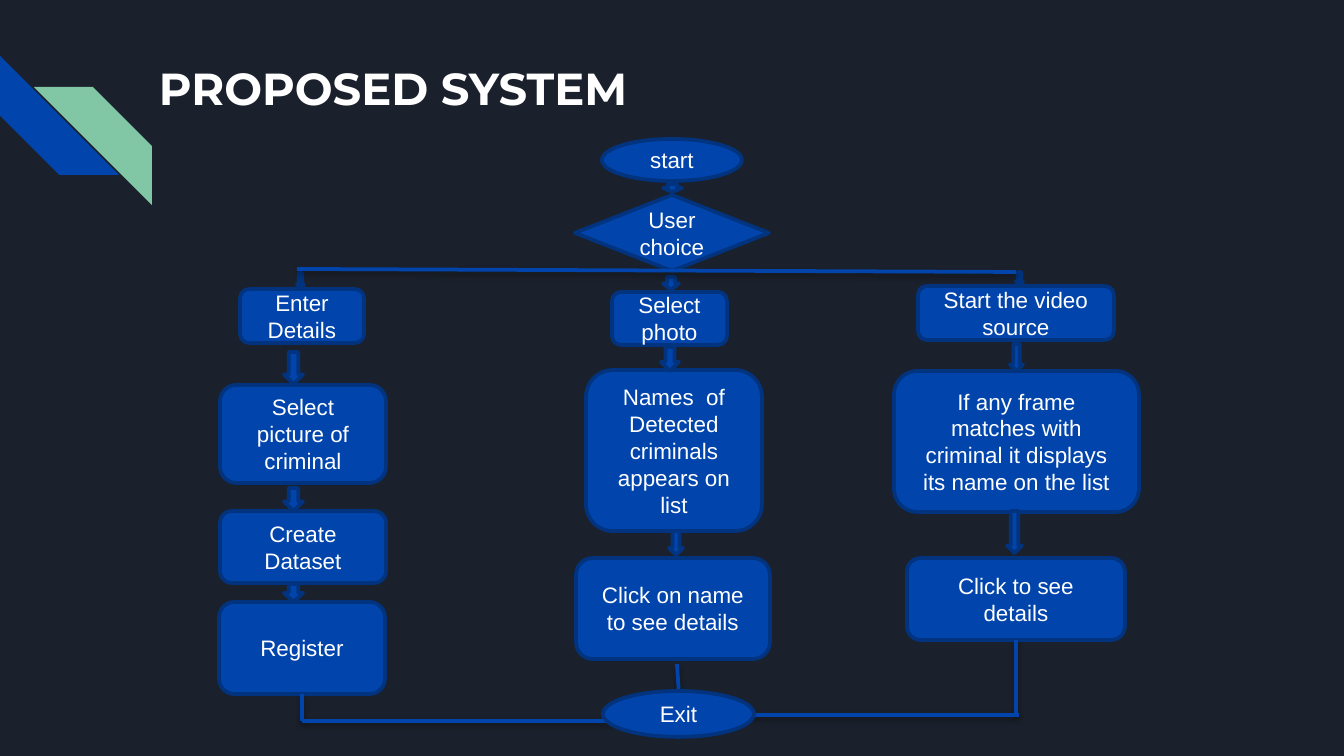
from lxml import etree
from pptx import Presentation
from pptx.dml.color import RGBColor
from pptx.enum.shapes import MSO_CONNECTOR, MSO_SHAPE
from pptx.enum.text import MSO_ANCHOR, PP_ALIGN
from pptx.oxml.ns import qn
from pptx.util import Pt

PX = 914400 / 134.4
OVAL, DIAMOND = MSO_SHAPE.OVAL, MSO_SHAPE.DIAMOND
BOX, ARROW = MSO_SHAPE.ROUNDED_RECTANGLE, MSO_SHAPE.DOWN_ARROW
STRIPE, STRAIGHT = MSO_SHAPE.DIAGONAL_STRIPE, MSO_CONNECTOR.STRAIGHT
CENTER, MIDDLE = PP_ALIGN.CENTER, MSO_ANCHOR.MIDDLE
COLORS = {"back": "1B212C", "blue": "0145AC", "edge": "01337F",
          "green": "82C7A5", "text": "FFFFFF", "shadow": "000000"}

NODES = [
    (OVAL, "start", 602, 139, 140, 42),
    (DIAMOND, "User choice", 575, 195, 194, 76),
    (BOX, "Enter Details", 240, 289, 124, 54),
    (BOX, "Select photo", 612, 292, 115, 53),
    (BOX, "Start the video\nsource", 918, 286, 196, 54),
    (BOX, "Select picture of criminal", 220, 385, 166, 98),
    (BOX, "Create Dataset", 220, 511, 166, 72),
    (BOX, "Register", 219, 602, 166, 92),
    (BOX, "Names  of Detected criminals appears on list", 586, 370, 176, 161),
    (BOX, "Click on name to see details", 576, 558, 194, 101),
    (BOX, "If any frame matches with criminal it displays its name on the list",
     894, 371, 245, 141),
    (BOX, "Click to see details", 907, 558, 218, 82),
]
EXIT = (OVAL, "Exit", 603, 691, 151, 46)
ARROWS = [
    (663, 184, 19, 8), (663, 277, 16, 13), (297, 273, 7, 15), (1016, 272, 7, 13),
    (284, 352, 19, 32), (284, 488, 19, 23), (284, 584, 19, 18),
    (661, 347, 18, 24), (669, 531, 14, 24),
    (1010, 344, 13, 27), (1007, 511, 15, 42),
]
LINES = [
    (297, 269, 1016, 272), (302, 694, 302, 721), (302, 721, 612, 721),
    (677, 664, 679, 695), (1016, 640, 1016, 715), (742, 715, 1019, 715),
]


def px(*values):
    return [round(v * PX) for v in values]


def rgb(name):
    return RGBColor.from_string(COLORS[name])


def style_text(tf, size, font, align=None, bold=False):
    tf.word_wrap = True
    for p in tf.paragraphs:
        p.alignment = align
        for r in p.runs:
            r.font.size = Pt(size)
            r.font.name = font
            r.font.bold = bold
            r.font.color.rgb = rgb("text")


def add_shape(slide, kind, box, fill, edge=None):
    s = slide.shapes.add_shape(kind, *px(*box))
    s.shadow.inherit = False
    s.fill.solid()
    s.fill.fore_color.rgb = rgb(fill)
    if edge:
        s.line.color.rgb = rgb(edge)
        s.line.width = Pt(2)
    else:
        s.line.fill.background()
    return s


def add_node(slide, kind, text, *box):
    s = add_shape(slide, kind, box, "blue", "edge")
    s.text_frame.text = text
    s.text_frame.vertical_anchor = MIDDLE
    style_text(s.text_frame, 12, "Arial", CENTER)


def add_line(slide, *ends):
    c = slide.shapes.add_connector(STRAIGHT, *px(*ends))
    c.line.color.rgb = rgb("blue")
    c.line.width = Pt(2)
    effects = etree.SubElement(c.element.spPr, qn("a:effectLst"))
    shadow = etree.SubElement(effects, qn("a:outerShdw"), blurRad="40000",
                              dist="20000", dir="5400000", rotWithShape="0")
    color = etree.SubElement(shadow, qn("a:srgbClr"), val=COLORS["shadow"])
    etree.SubElement(color, qn("a:alpha"), val="38000")


def add_stripes(slide):
    blue = add_shape(slide, STRIPE, (0, 56, 119, 119), "blue")
    blue.rotation = 270
    green = add_shape(slide, STRIPE, (34, 87, 118, 118), "green")
    green.element.spPr.find(qn("a:xfrm")).set("flipH", "1")


def add_title(slide, text, *box):
    tf = slide.shapes.add_textbox(*px(*box)).text_frame
    tf.text = text
    tf.margin_left, tf.margin_top = px(13, 13)
    style_text(tf, 24, "Montserrat", bold=True)


def main():
    prs = Presentation()
    prs.slide_width, prs.slide_height = px(1344, 756)
    slide = prs.slides.add_slide(prs.slide_layouts[6])
    slide.background.fill.solid()
    slide.background.fill.fore_color.rgb = rgb("back")
    add_stripes(slide)
    add_title(slide, "PROPOSED SYSTEM", 146, 48, 1035, 134)
    for node in NODES:
        add_node(slide, *node)
    for box in ARROWS:
        add_shape(slide, ARROW, box, "blue", "edge")
    for ends in LINES:
        add_line(slide, *ends)
    add_node(slide, *EXIT)
    prs.save("out.pptx")


if __name__ == "__main__":
    main()
